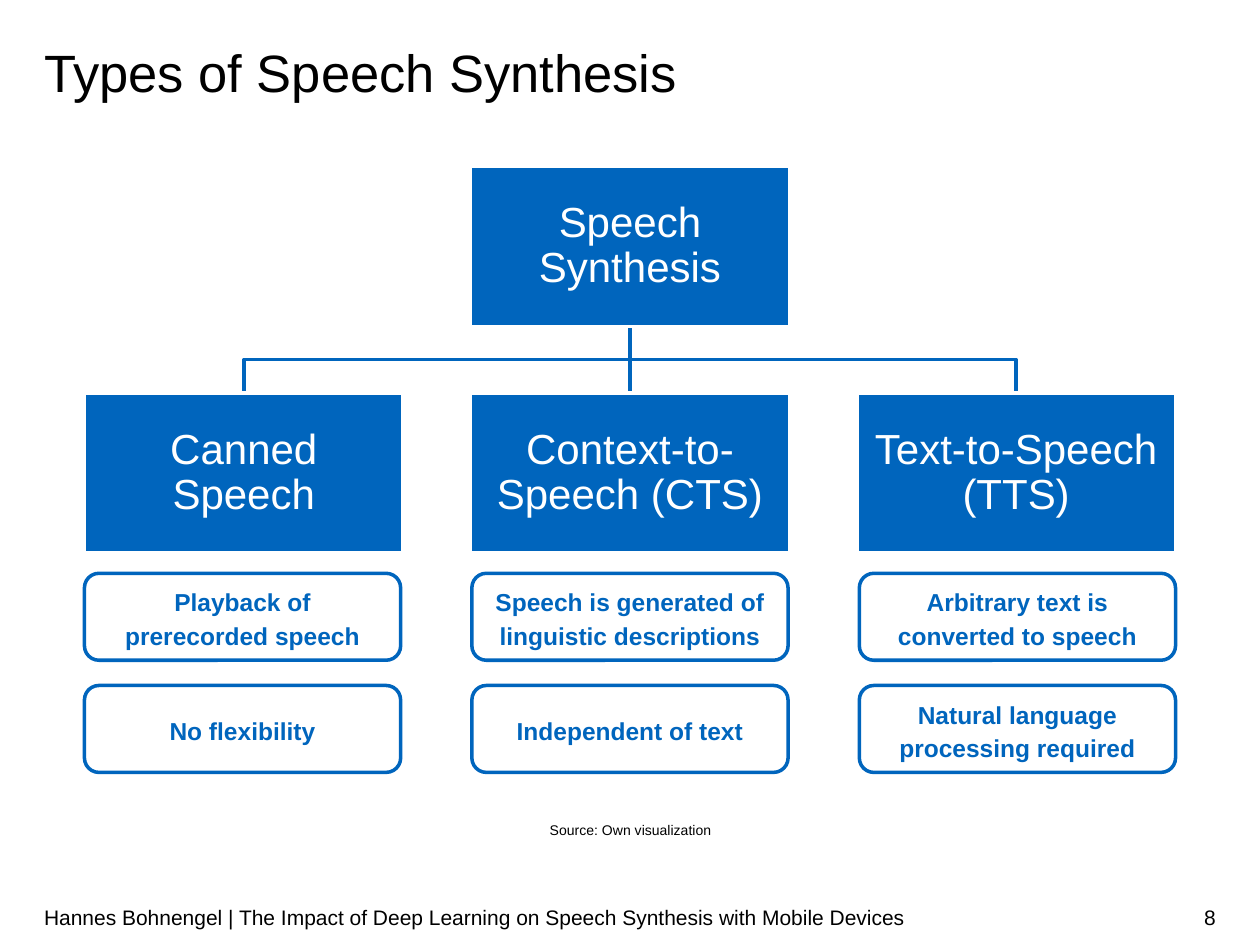
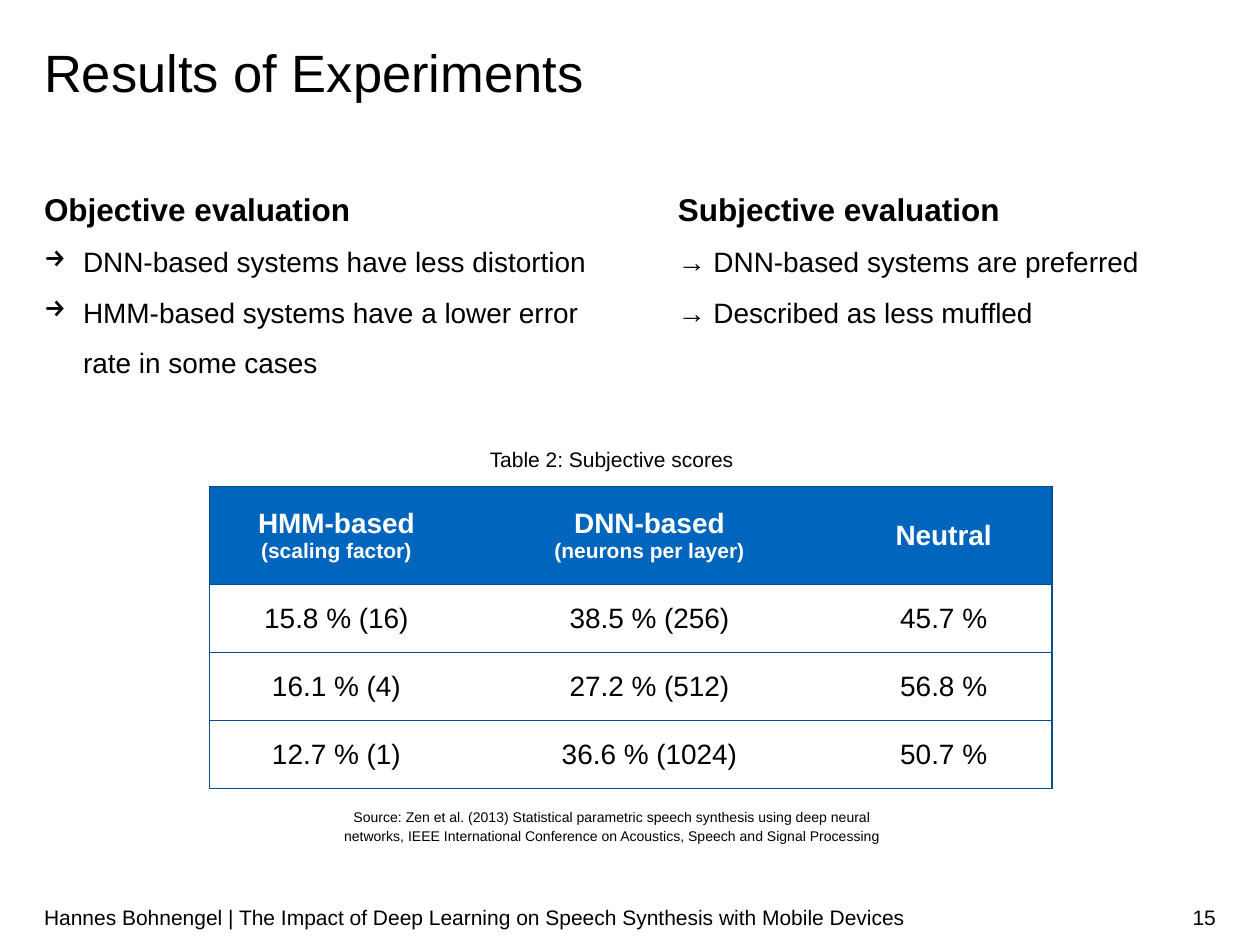
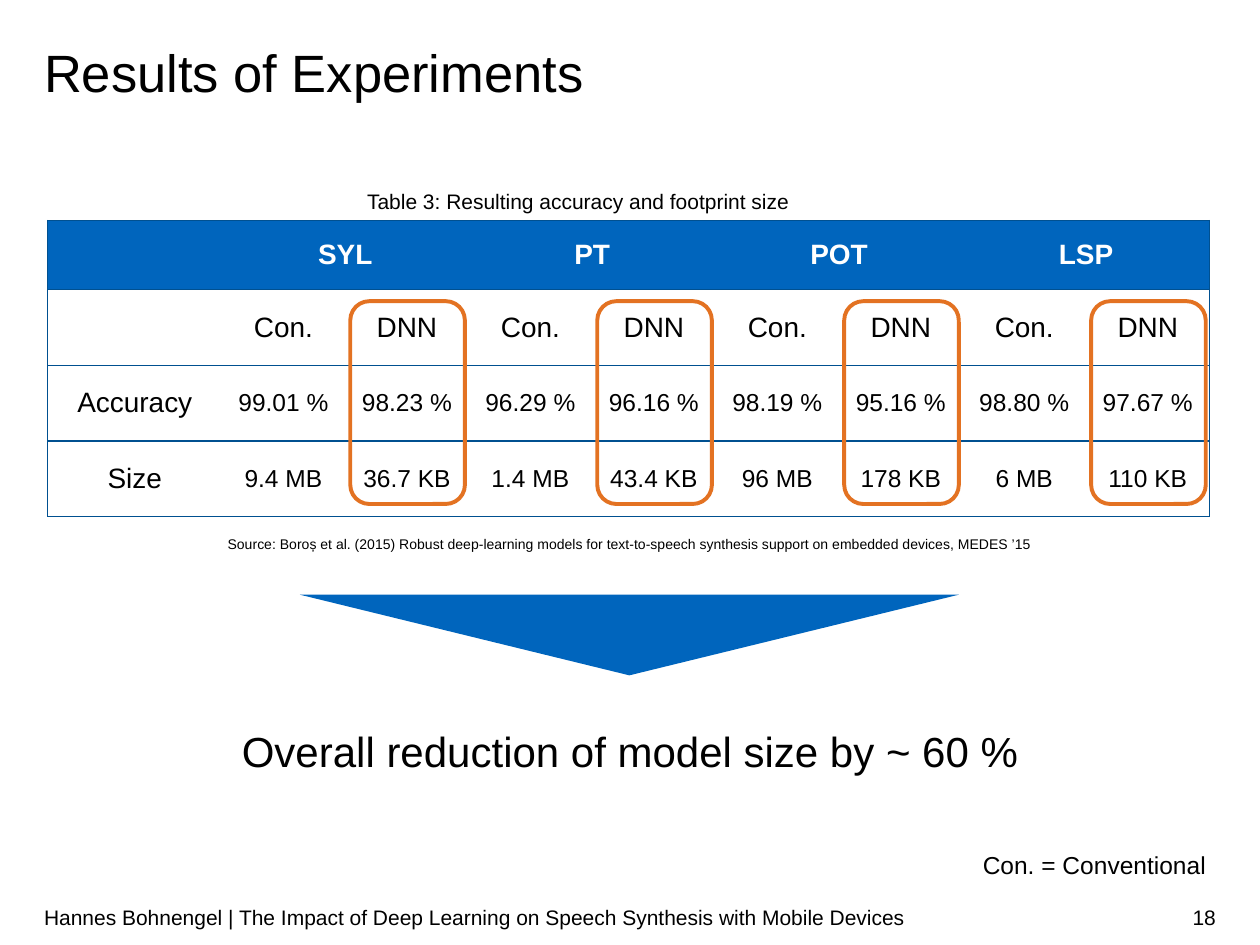
from lxml import etree
from pptx import Presentation
from pptx.dml.color import RGBColor
from pptx.enum.shapes import MSO_CONNECTOR as Connector, MSO_SHAPE as Shape
from pptx.enum.text import MSO_ANCHOR as Anchor, PP_ALIGN as Align
from pptx.oxml.ns import qn
from pptx.util import Inches, Pt

BLUE, EDGE, ORANGE = "0065BD", "005090", "E37222"
BLACK, WHITE = "000000", "FFFFFF"
FONT = "Arial"
FOOTER = ("Hannes Bohnengel | The Impact of Deep Learning on "
          "Speech Synthesis with Mobile Devices")

# Paragraph and font values of each kind of text
TITLE = dict(size=30, spacing=Pt(32))
FOOT = dict(size=12)
CAPTION = dict(size=12, align=Align.CENTER, spacing=1.14)
SOURCE = dict(CAPTION, size=8)
CARD = dict(size=24, color=WHITE, align=Align.CENTER, spacing=0.9)
DETAIL = dict(size=14, color=BLUE, bold=True, align=Align.CENTER, spacing=1.14)
HEADING = dict(size=18, bold=True, spacing=1.5)
POINT = dict(size=16, spacing=1.5)
BULLET = dict(POINT, bullet="\u2192")
CELL = dict(size=16, align=Align.CENTER)
SMALL_CELL = dict(CELL, size=14)
HEAD_CELL = dict(CELL, bold=True, color=WHITE)
HEAD_NOTE = dict(HEAD_CELL, size=12)


def rgb(color):
    return RGBColor.from_string(color)


def place(box):
    return [Inches(value) for value in box]


def add_bullet(para, mark, indent=0.31):
    props = para._p.get_or_add_pPr()
    props.set("marL", str(Inches(indent)))
    props.set("indent", str(-Inches(indent)))
    etree.SubElement(props, qn("a:buChar")).set("char", mark)


def write(frame, paras, anchor=Anchor.TOP, margins=None, wrap=True):
    """Fill a frame with (text, style) pairs; margins are x and y."""
    frame.word_wrap = wrap
    frame.vertical_anchor = anchor
    if margins:
        x, y = place(margins)
        sides = dict(margin_left=x, margin_right=x, margin_top=y, margin_bottom=y)
        for name, value in sides.items():
            setattr(frame, name, value)
    for index, (text, style) in enumerate(paras):
        para = frame.add_paragraph() if index else frame.paragraphs[0]
        para.text = text
        para.alignment = style.get("align", Align.LEFT)
        if "spacing" in style:
            para.line_spacing = style["spacing"]
        if "bullet" in style:
            add_bullet(para, style["bullet"])
        fonts = dict(name=FONT, size=Pt(style["size"]), bold=style.get("bold", False))
        for span in para.runs:
            for name, value in fonts.items():
                setattr(span.font, name, value)
            span.font.color.rgb = rgb(style.get("color", BLACK))


def add_text(page, box, paras, anchor=Anchor.TOP, margins=(0, 0), wrap=True):
    frame = page.shapes.add_textbox(*place(box)).text_frame
    write(frame, paras, anchor, margins, wrap)


def paint(shape, fill=None, line=None, width=2):
    shape.shadow.inherit = False
    if fill:
        shape.fill.solid()
        shape.fill.fore_color.rgb = rgb(fill)
    else:
        shape.fill.background()
    if line:
        shape.line.color.rgb = rgb(line)
        shape.line.width = Pt(width)
    else:
        shape.line.fill.background()


def add_shape(page, kind, box, **look):
    shape = page.shapes.add_shape(kind, *place(box))
    paint(shape, **look)
    return shape


def spread(left, width, size, count):
    """Left edges of equal items that fill a width with equal gaps."""
    step = (width - size) / (count - 1)
    return [left + step * index for index in range(count)]


def add_page(deck, title, number):
    page = deck.slides.add_slide(deck.slide_layouts[5])
    # Title
    holder = page.shapes.title
    names = ("left", "top", "width", "height")
    for name, value in zip(names, place((0.35, 0.37, 9.31, 0.45))):
        setattr(holder, name, value)
    write(holder.text_frame, [(title, TITLE)], margins=(0, 0))
    # Footer and page number
    add_text(page, (0.35, 7.08, 6.96, 0.4), [(FOOTER, FOOT)], Anchor.MIDDLE, (0, 0.05))
    add_text(page, (8.79, 7.08, 0.86, 0.4),
             [(str(number), dict(FOOT, align=Align.RIGHT))], Anchor.MIDDLE, (0, 0.05))
    return page


def add_tree(page, box, root, children):
    left, top, width, height = box
    card_width, card_height = 2.53, 1.27
    middle = left + width / 2
    root_bottom, child_top = top + card_height, top + height - card_height
    bend = (root_bottom + child_top) / 2
    lefts = spread(left, width, card_width, len(children))

    # Branches
    for card_left in lefts:
        center = card_left + card_width / 2
        if abs(center - middle) < 0.01:
            stem = page.shapes.add_connector(
                Connector.STRAIGHT, *place((middle, root_bottom, middle, child_top)))
            stem.line.color.rgb = rgb(BLUE)
            stem.line.width = Pt(2)
            etree.SubElement(stem._element.spPr, qn("a:effectLst"))
            continue
        builder = page.shapes.build_freeform(*place((middle, root_bottom)))
        corners = [(middle, bend), (center, bend), (center, child_top)]
        builder.add_line_segments([place(corner) for corner in corners], close=False)
        paint(builder.convert_to_shape(), line=BLUE)

    # Cards
    cards = [(middle - card_width / 2, top, root)]
    cards += [(x, child_top, text) for x, text in zip(lefts, children)]
    for x, y, text in cards:
        card = add_shape(page, Shape.RECTANGLE, (x, y, card_width, card_height),
                         fill=BLUE, line=WHITE)
        write(card.text_frame, [(text, CARD)], Anchor.MIDDLE, (0.02, 0.02))


def add_details(page, box, columns):
    left, top, width, height = box
    note_width, note_height = 2.51, 0.69
    for x, notes in zip(spread(left, width, note_width, len(columns)), columns):
        for y, lines in zip(spread(top, height, note_height, len(notes)), notes):
            note = add_shape(page, Shape.ROUNDED_RECTANGLE,
                             (x, y, note_width, note_height), line=BLUE)
            write(note.text_frame, [(line, DETAIL) for line in lines], Anchor.MIDDLE)


def set_borders(cell, sides):
    """Draw the given sides of a cell and clear the others."""
    props = cell._tc.get_or_add_tcPr()
    for index, side in enumerate("LRTB"):
        line = etree.Element(qn("a:ln" + side), w=str(Pt(0.75)))
        if side in sides:
            fill = etree.SubElement(line, qn("a:solidFill"))
            etree.SubElement(fill, qn("a:srgbClr")).set("val", EDGE)
        else:
            etree.SubElement(line, qn("a:noFill"))
        props.insert(index, line)


def add_grid(page, box, widths, heights, rows, merges=()):
    """Table with a blue head row; each cell is a list of (text, style)."""
    table = page.shapes.add_table(len(rows), len(widths), *place(box)).table
    table.first_row = table.horz_banding = False
    for column, width in zip(table.columns, widths):
        column.width = Inches(width)
    for row, height in zip(table.rows, heights):
        row.height = Inches(height)
    for first, last in merges:
        table.cell(0, first).merge(table.cell(0, last))
    for r, row in enumerate(rows):
        for c, paras in enumerate(row):
            cell = table.cell(r, c)
            if r == 0:
                cell.fill.solid()
                cell.fill.fore_color.rgb = rgb(BLUE)
            else:
                cell.fill.background()
            span = cell.span_width if cell.is_merge_origin else 1
            sides = "TB" + ("L" if c == 0 else "")
            sides += "R" if c + span == len(widths) else ""
            set_borders(cell, sides)
            if paras:
                write(cell.text_frame, paras)
                cell.vertical_anchor = Anchor.MIDDLE


def build_types(deck):
    page = add_page(deck, "Types of Speech Synthesis", 8)
    add_tree(page, (0.67, 1.32, 8.66, 3.07), "Speech Synthesis",
             ["Canned\vSpeech", "Context-to-Speech (CTS)", "Text-to-Speech (TTS)"])
    add_details(page, (0.67, 4.55, 8.66, 1.58), [
        [["Playback of", "prerecorded speech"], ["No flexibility"]],
        [["Speech is generated of linguistic descriptions"], ["Independent of text"]],
        [["Arbitrary text is converted to speech"],
         ["Natural language processing required"]],
    ])
    add_text(page, (4.29, 6.5, 1.43, 0.14), [("Source: Own visualization", SOURCE)])


def build_scores(deck):
    page = add_page(deck, "Results of Experiments", 15)
    # Findings
    add_text(page, (0.35, 1.36, 4.5, 2.3), [
        ("Objective evaluation", HEADING),
        ("DNN-based systems have less distortion", BULLET),
        ("HMM-based systems have a lower error rate in some cases", BULLET),
    ])
    add_text(page, (5.38, 1.36, 4.31, 1.85), [
        ("Subjective evaluation", HEADING),
        ("\u2192 DNN-based systems are preferred", POINT),
        ("\u2192 Described as less muffled", POINT),
    ])
    # Score table
    add_text(page, (3.88, 3.52, 1.95, 0.23),
             [("Table 2: Subjective scores", CAPTION)], wrap=False)
    head = [
        [("HMM-based", HEAD_CELL), ("(scaling factor)", HEAD_NOTE)],
        [("DNN-based", HEAD_CELL), ("(neurons per layer)", HEAD_NOTE)],
        [("Neutral", HEAD_CELL)],
    ]
    scores = [
        ("15.8 % (16)", "38.5 % (256)", "45.7 %"),
        ("16.1 % (4)", "27.2 % (512)", "56.8 %"),
        ("12.7 % (1)", "36.6 % (1024)", "50.7 %"),
    ]
    rows = [head] + [[[(text, CELL)] for text in row] for row in scores]
    add_grid(page, (1.66, 3.86, 6.69, 2.4), [2.02, 2.95, 1.72],
             [0.78] + [0.54] * 3, rows)
    add_text(page, (2.59, 6.4, 4.54, 0.29), [(
        "Source: Zen et al. (2013) Statistical parametric speech synthesis using "
        "deep neural networks, IEEE International Conference on Acoustics, Speech "
        "and Signal Processing", SOURCE)])


def build_footprint(deck):
    page = add_page(deck, "Results of Experiments", 18)
    # Accuracy and size table
    add_text(page, (2.9, 1.47, 3.38, 0.23),
             [("Table 3: Resulting accuracy and footprint size", CAPTION)], wrap=False)
    tasks = ["SYL", "PT", "POT", "LSP"]
    head = [[]]
    for task in tasks:
        head += [[(task, HEAD_CELL)], []]
    kinds = [[]] + [[(kind, CELL)] for kind in ["Con.", "DNN"] * len(tasks)]
    measures = {
        "Accuracy": ["99.01 %", "98.23 %", "96.29 %", "96.16 %",
                     "98.19 %", "95.16 %", "98.80 %", "97.67 %"],
        "Size": ["9.4 MB", "36.7 KB", "1.4 MB", "43.4 KB",
                 "96 MB", "178 KB", "6 MB", "110 KB"],
    }
    rows = [head, kinds]
    for name, values in measures.items():
        rows.append([[(name, CELL)]] + [[(value, SMALL_CELL)] for value in values])
    add_grid(page, (0.38, 1.75, 9.25, 2.36), [1.38] + [0.98] * 8,
             [0.55] + [0.6] * 3, rows, merges=[(c, c + 1) for c in range(1, 9, 2)])
    # Frames around the DNN columns
    for x in spread(2.78, 6.79, 0.91, len(tasks)):
        add_shape(page, Shape.ROUNDED_RECTANGLE, (x, 2.39, 0.91, 1.61),
                  line=ORANGE, width=2.25)
    add_text(page, (1.38, 4.23, 7.24, 0.15), [(
        "Source: Boro\u0219 et al. (2015) Robust deep-learning models for text-to-speech "
        "synthesis support on embedded devices, MEDES \u201915", SOURCE)])
    # Conclusion
    pointer = add_shape(page, Shape.ISOSCELES_TRIANGLE, (2.38, 4.72, 5.23, 0.64),
                        fill=BLUE)
    pointer.rotation = 180
    add_text(page, (1.77, 5.36, 6.46, 0.81), [(
        "Overall reduction of model size by ~ 60 %",
        dict(size=24, align=Align.CENTER, spacing=2.0))])
    add_text(page, (7.8, 6.51, 2.04, 0.53),
             [("Con. = Conventional", dict(size=14, spacing=2.0))])


deck = Presentation()
deck.slide_width, deck.slide_height = Inches(10), Inches(7.5)
for build in (build_types, build_scores, build_footprint):
    build(deck)
deck.save("out.pptx")
